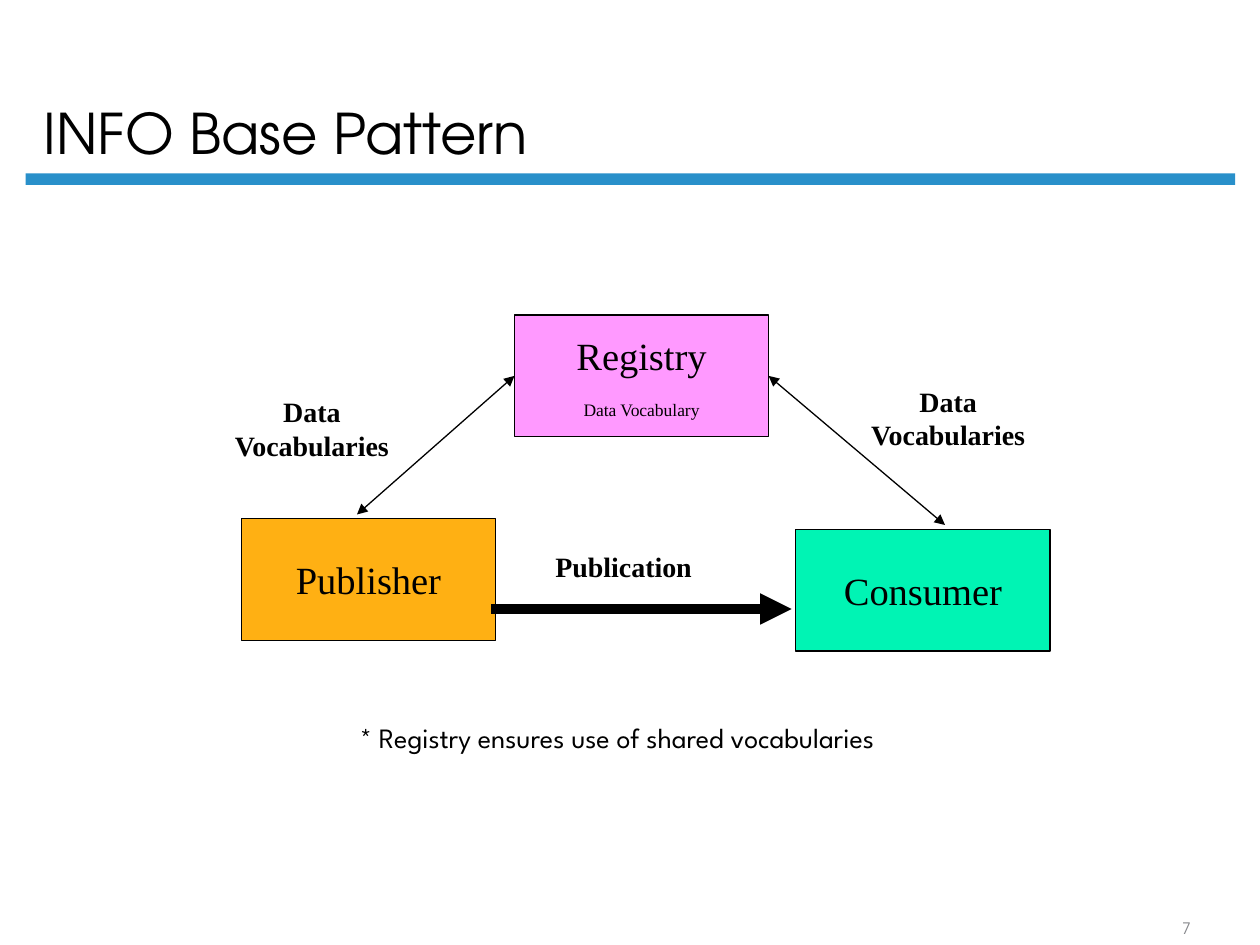
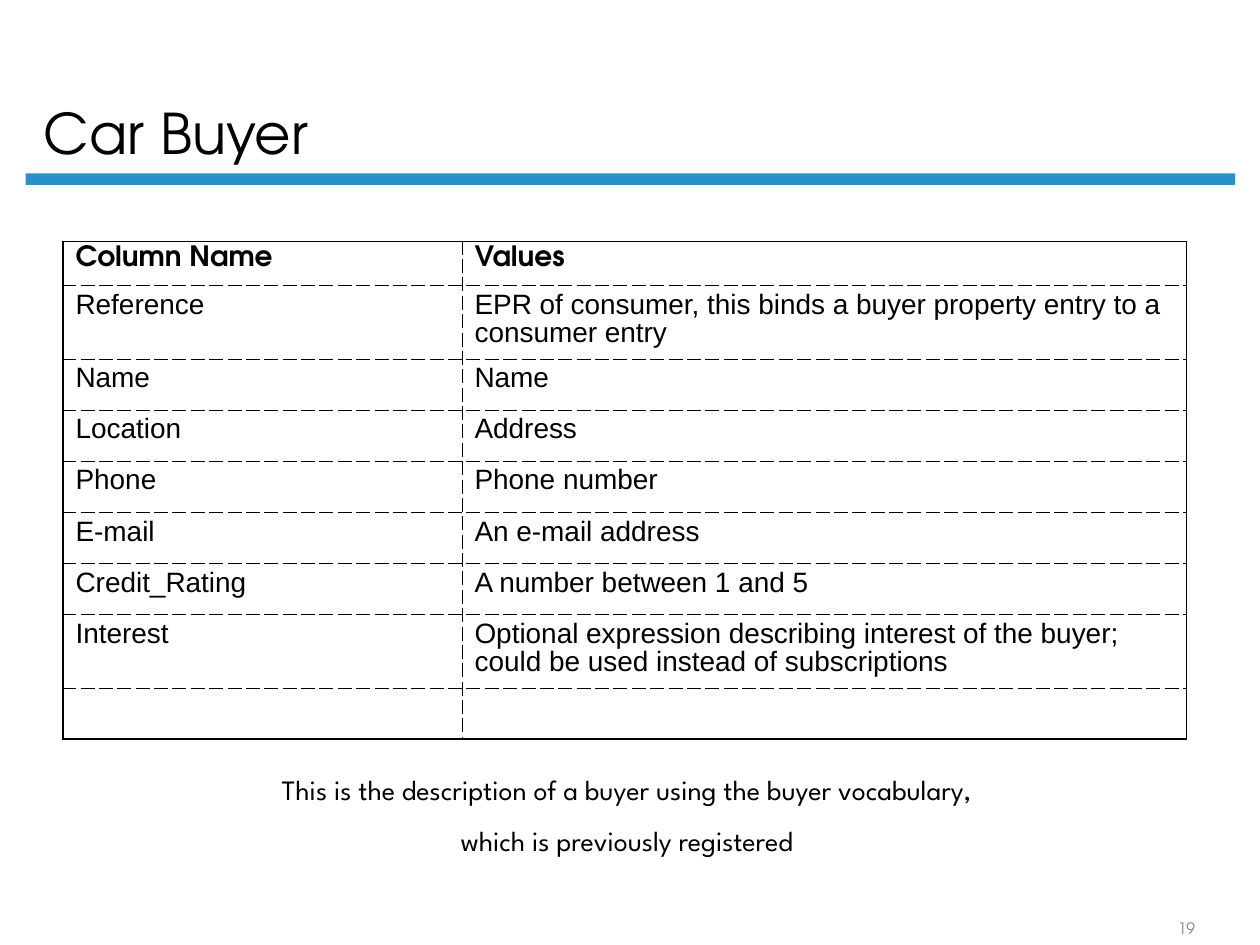
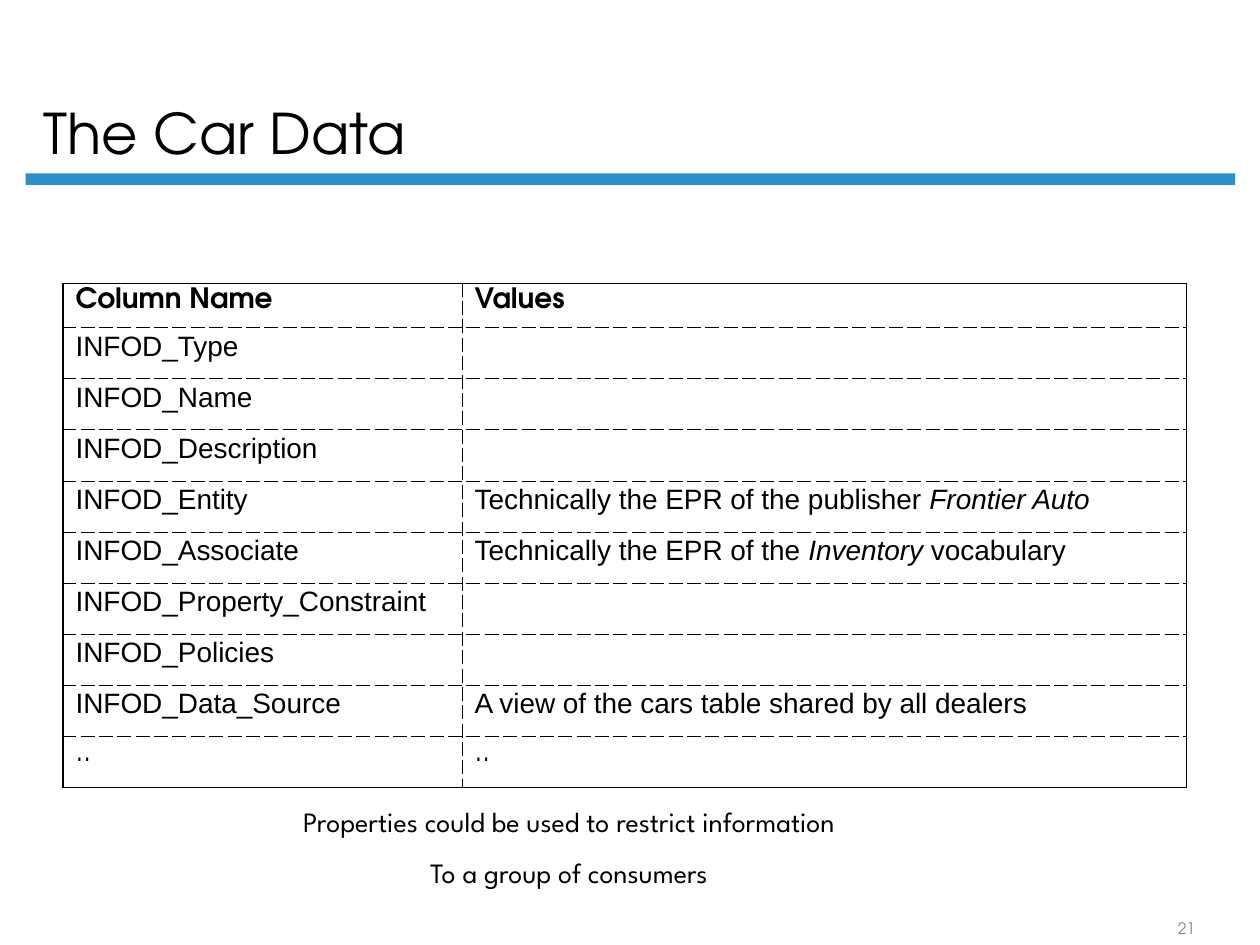
from dataclasses import dataclass

from lxml.etree import SubElement
from pptx import Presentation
from pptx.dml.color import RGBColor
from pptx.enum.shapes import MSO_CONNECTOR as CONN, MSO_SHAPE as SHAPE
from pptx.enum.text import MSO_ANCHOR as ANCHOR, PP_ALIGN as ALIGN
from pptx.oxml.ns import qn
from pptx.util import Inches, Pt

COLS, ROWS = 120, 90
WIDTH, HEIGHT = Inches(10), Inches(7.5)


@dataclass(frozen=True)
class Theme:
    ink: str = "000000"
    band: str = "2990CA"
    muted: str = "848589"
    publisher: str = "FFB013"
    consumer: str = "00F4B4"
    registry: str = "FF99FF"
    head_font: str = "TeX Gyre Adventor"
    note_font: str = "League Spartan"
    node_font: str = "Times New Roman"
    cell_font: str = "Arial"
    title: int = 32
    node: int = 22
    body: int = 16
    small: int = 10
    number: int = 9
    thin: float = 0.75
    thick: float = 6
    frame: float = 1.08
    inner: float = 0.45


T = Theme()


def x(cols):
    return int(WIDTH * cols / COLS)


def y(rows):
    return int(HEIGHT * rows / ROWS)


def box(left, top, width, height):
    return x(left), y(top), x(width), y(height)


def rgb(color):
    return RGBColor.from_string(color)


def write(tf, paragraphs, font=T.note_font, size=T.body, color=T.ink, bold=False,
          align=ALIGN.LEFT, anchor=ANCHOR.TOP, wrap=False, gap=0, after=0, spacing=None):
    tf.word_wrap = wrap
    tf.vertical_anchor = anchor
    for i, runs in enumerate(paragraphs):
        p = tf.add_paragraph() if i else tf.paragraphs[0]
        p.alignment = align
        p.space_before = Pt(gap if i else 0)
        p.space_after = Pt(after)
        if spacing:
            p.line_spacing = spacing
        for run in [runs] if isinstance(runs, str) else runs:
            text, extra = (run, {}) if isinstance(run, str) else run
            r = p.add_run()
            r.text = text
            f = r.font
            f.name, f.bold = font, bold
            f.size = Pt(extra.get("size", size))
            f.italic = extra.get("italic", False)
            f.color.rgb = rgb(color)


def add_text(slide, area, paragraphs, **fmt):
    sp = slide.shapes.add_textbox(*box(*area))
    write(sp.text_frame, paragraphs, **fmt)


def add_rect(slide, area, fill, outline=None):
    sp = slide.shapes.add_shape(SHAPE.RECTANGLE, *box(*area))
    sp.shadow.inherit = False
    sp.fill.solid()
    sp.fill.fore_color.rgb = rgb(fill)
    if outline:
        sp.line.color.rgb = rgb(outline)
        sp.line.width = Pt(T.thin)
    else:
        sp.line.fill.background()
    return sp


def add_node(slide, left, top, fill, paragraphs):
    sp = add_rect(slide, (left, top, 24.2, 11.6), fill, T.ink)
    write(sp.text_frame, paragraphs, font=T.node_font, size=T.node,
          align=ALIGN.CENTER, anchor=ANCHOR.MIDDLE, gap=12)
    return sp


def add_label(slide, area, *lines):
    add_text(slide, area, lines, font=T.node_font, bold=True, align=ALIGN.CENTER)


def add_arrow(slide, start, end, width, heads):
    line = slide.shapes.add_connector(CONN.STRAIGHT, x(start[0]), y(start[1]),
                                      x(end[0]), y(end[1]))
    line.line.color.rgb = rgb(T.ink)
    line.line.width = Pt(width)
    ln = line.line._get_or_add_ln()
    for head in heads:
        SubElement(ln, qn(f"a:{head}"), type="triangle")
    SubElement(line._element.spPr, qn("a:effectLst"))
    return line


def add_border(tc_pr, side, outer):
    width = T.frame if outer else T.inner
    ln = SubElement(tc_pr, qn(f"a:ln{side}"), w=str(int(Pt(width))))
    fill = SubElement(ln, qn("a:solidFill"))
    SubElement(fill, qn("a:srgbClr"), val=T.ink)
    SubElement(ln, qn("a:prstDash"), val="solid" if outer else "dash")


def fill_cell(cell, content, font, bold):
    if content:
        write(cell.text_frame, [content], font=font, bold=bold, wrap=True,
              after=2, spacing=0.9)
    else:
        end = cell.text_frame.paragraphs[0]._p.get_or_add_endParaRPr()
        end.set("sz", str(T.body * 100))


def add_property_table(slide, top, entries, tall=()):
    rows = [("Column Name", "Values"), *entries]
    heights = [4.2] + [7 if name in tall else 4.87 for name, _ in entries]
    widths = (38, 69)
    frame = slide.shapes.add_table(len(rows), len(widths),
                                   *box(6, top, sum(widths), sum(heights)))
    table = frame.table
    table.first_row = table.horz_banding = False
    for column, width in zip(table.columns, widths):
        column.width = x(width)
    last_row, last_col = len(rows) - 1, len(widths) - 1
    for i, values in enumerate(rows):
        table.rows[i].height = y(heights[i])
        for j, content in enumerate(values):
            cell = table.cell(i, j)
            cell.margin_left = cell.margin_right = Inches(0.1)
            cell.margin_top = cell.margin_bottom = Inches(0.05)
            heading = i == 0
            font = T.head_font if heading or content == ".." else T.cell_font
            fill_cell(cell, content, font, heading)
            tc_pr = cell._tc.get_or_add_tcPr()
            edges = {"L": j == 0, "R": j == last_col, "T": i == 0, "B": i == last_row}
            for side, outer in edges.items():
                add_border(tc_pr, side, outer)
            cell.fill.background()


def add_caption(slide, area, *lines):
    add_text(slide, area, lines, align=ALIGN.CENTER, gap=10)


def add_base(prs, title, number):
    slide = prs.slides.add_slide(prs.slide_layouts[6])
    add_rect(slide, (2.45, 16.5, 115.2, 1.1), T.band)
    add_text(slide, (3, 1.5, 102.7, 15), [title], font=T.head_font, size=T.title,
             anchor=ANCHOR.BOTTOM, wrap=True, spacing=0.9)
    add_text(slide, (108, 87, 10, 2.9), [number], font=T.head_font, size=T.number,
             color=T.muted, align=ALIGN.CENTER, anchor=ANCHOR.BOTTOM, wrap=True)
    return slide


def build_pattern(prs):
    slide = add_base(prs, "INFO Base Pattern", "7")
    add_node(slide, 23, 49.4, T.publisher, ["Publisher"])
    add_node(slide, 75.8, 50.4, T.consumer, ["Consumer"])
    add_arrow(slide, (46.8, 58), (75.4, 58), T.thick, ["tailEnd"])
    add_label(slide, (49.4, 51.7, 20, 4.2), "Publication")
    registry = add_node(slide, 49, 30, T.registry,
                        ["Registry", [("Data Vocabulary", {"size": T.small})]])
    for side, start, end, label in ((3, (73, 35), (90, 50), (81.6, 36)),
                                    (1, (49, 35), (34, 49), (21, 37))):
        line = add_arrow(slide, start, end, T.thin, ["headEnd", "tailEnd"])
        line.begin_connect(registry, side)
        add_label(slide, (*label, 17.4, 7.7), "Data", "Vocabularies")
    add_caption(slide, (29, 68, 59.6, 4.4), "* Registry ensures use of shared vocabularies")


def build_buyer(prs):
    slide = add_base(prs, "Car Buyer", "19")
    add_property_table(slide, 23, [
        ("Reference", "EPR of consumer, this binds a buyer property entry to a consumer entry"),
        ("Name", "Name"),
        ("Location", "Address"),
        ("Phone", "Phone number"),
        ("E-mail", "An e-mail address"),
        ("Credit_Rating", "A number between 1 and 5"),
        ("Interest", "Optional expression describing interest of the buyer; "
                     "could be used instead of subscriptions"),
        ("", ""),
    ], tall=("Reference", "Interest"))
    add_caption(slide, (20.5, 73, 78.4, 9.2),
                "This is the description of a buyer using the buyer vocabulary,",
                "which is previously registered")


def build_data(prs):
    slide = add_base(prs, "The Car Data", "21")
    italic = {"italic": True}
    add_property_table(slide, 27, [
        ("INFOD_Type", ""),
        ("INFOD_Name", ""),
        ("INFOD_Description", ""),
        ("INFOD_Entity", ["Technically the EPR of the publisher ", ("Frontier Auto", italic)]),
        ("INFOD_Associate", ["Technically the EPR of the ", ("Inventory", italic),
                             " vocabulary"]),
        ("INFOD_Property_Constraint", ""),
        ("INFOD_Policies", ""),
        ("INFOD_Data_Source", "A view of the cars table shared by all dealers"),
        ("..", ".."),
    ])
    add_caption(slide, (23.3, 76, 61.8, 9.2),
                "Properties could be used to restrict information",
                "To a group of consumers")


def main():
    prs = Presentation()
    prs.slide_width, prs.slide_height = WIDTH, HEIGHT
    build_pattern(prs)
    build_buyer(prs)
    build_data(prs)
    prs.save("out.pptx")


if __name__ == "__main__":
    main()
